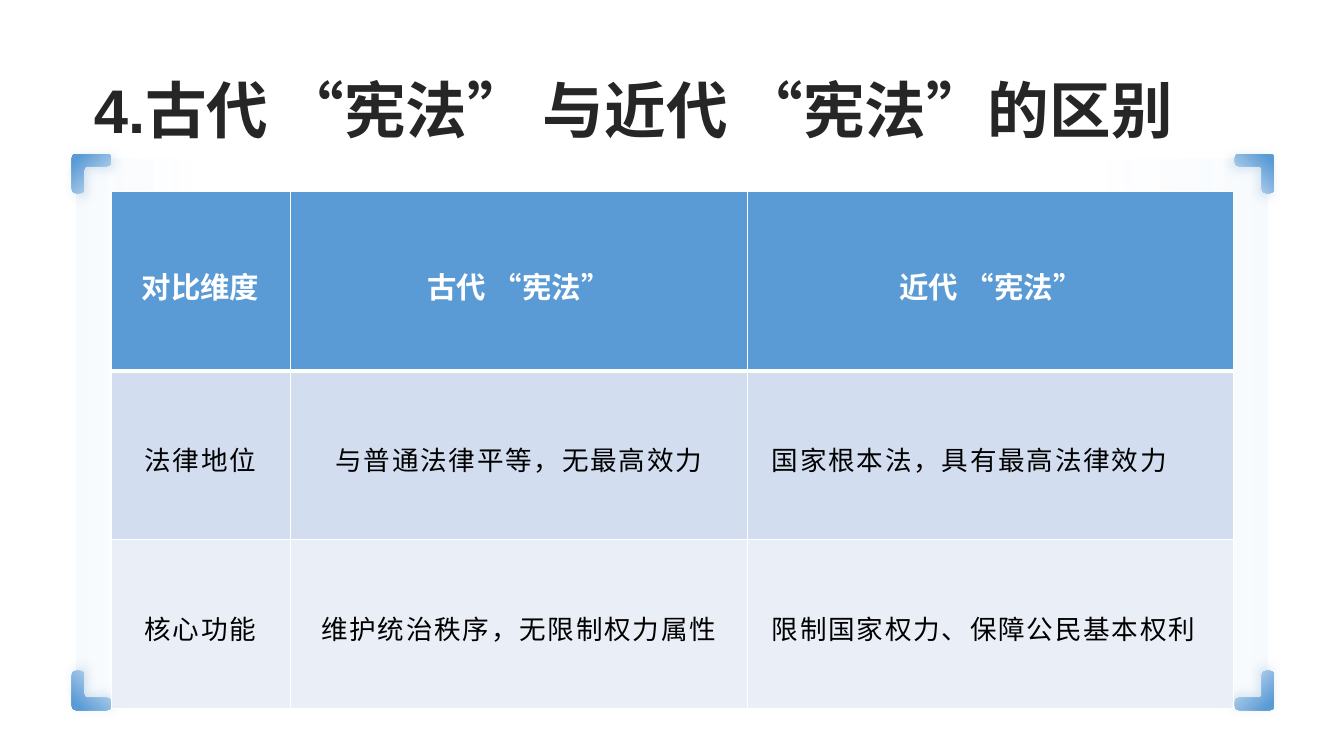
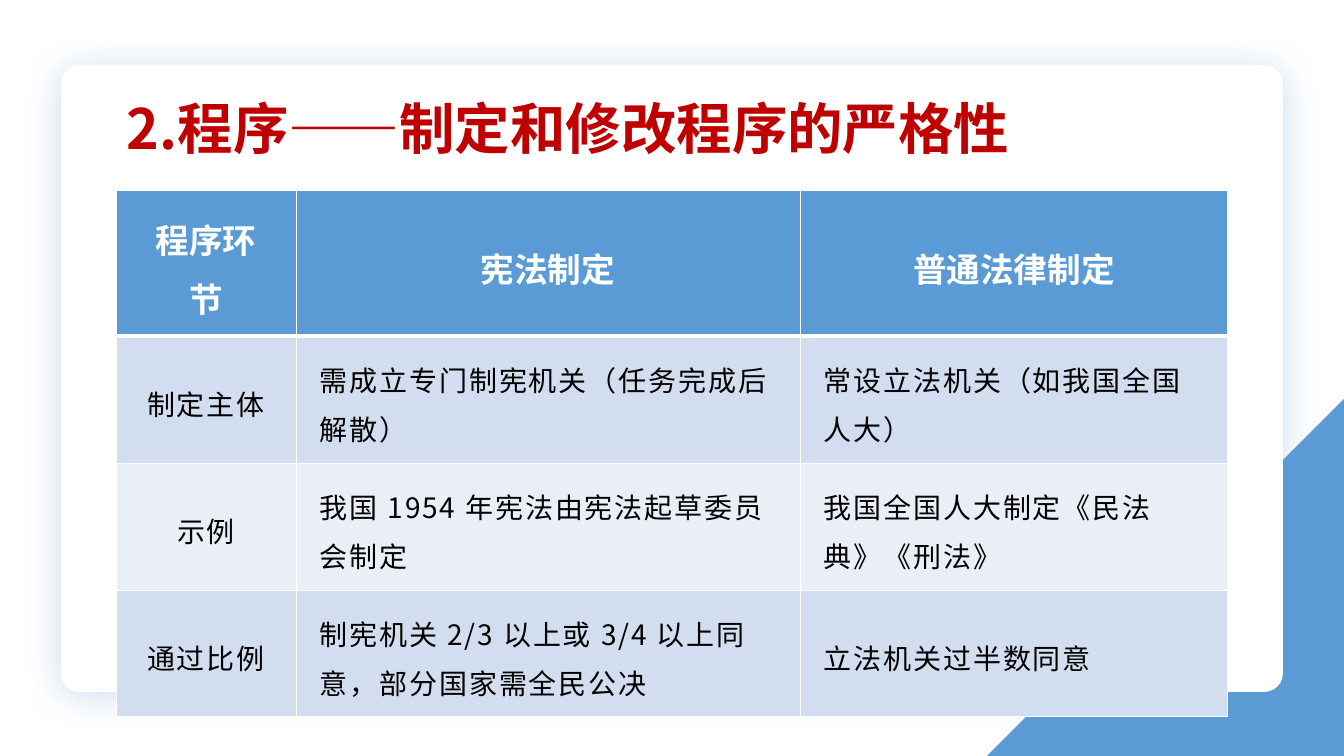
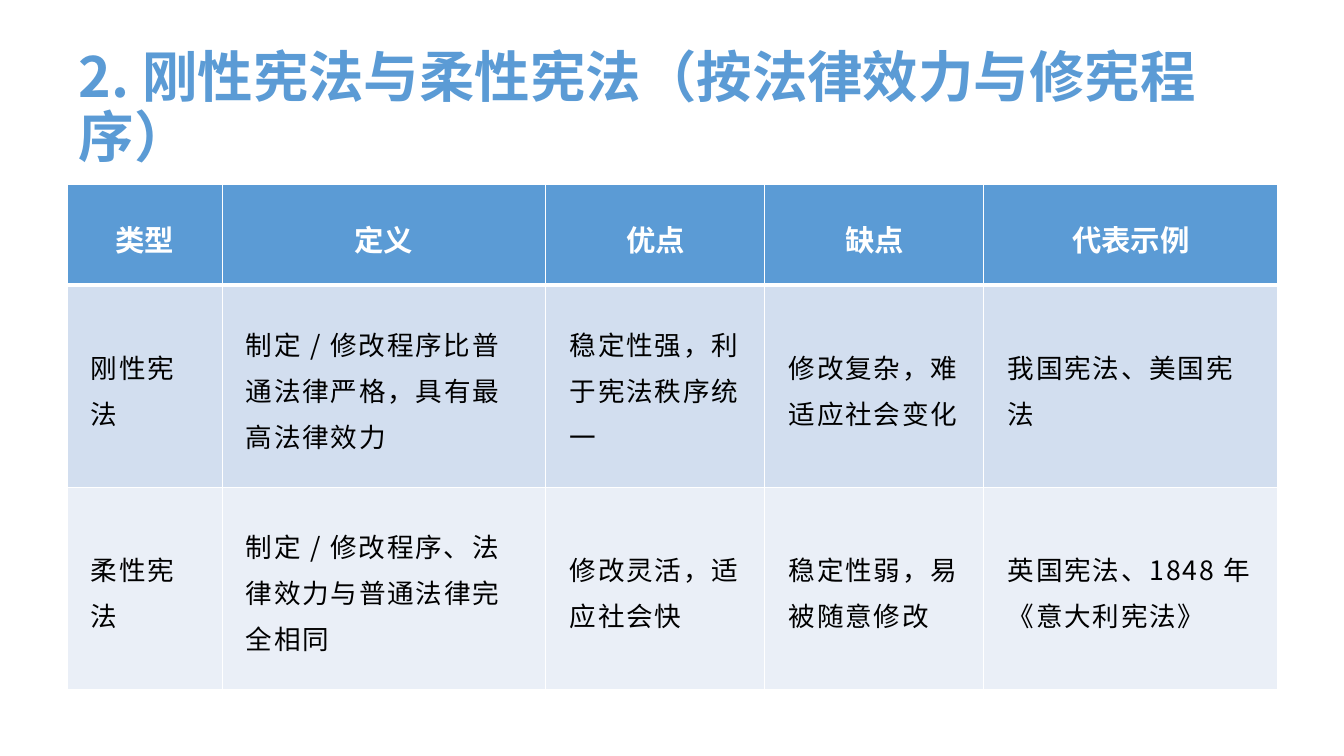
import pptx
import pptx.util
import pptx.dml.color
import pptx.enum.dml
import pptx.enum.lang
import pptx.enum.shapes
import pptx.enum.text
import pptx.oxml
import pptx.oxml.ns

RGB = pptx.dml.color.RGBColor
SHAPE = pptx.enum.shapes.MSO_SHAPE
ALIGN = pptx.enum.text.PP_ALIGN
MIDDLE = pptx.enum.text.MSO_ANCHOR.MIDDLE
CHINESE = pptx.enum.lang.MSO_LANGUAGE_ID.SIMPLIFIED_CHINESE

BLUE = RGB(0x5B, 0x9B, 0xD5)
DEEP_BLUE = RGB(0x2E, 0x75, 0xB6)
MIST = RGB(0xB5, 0xD2, 0xEC)
PALE = RGB(0xD6, 0xE6, 0xF4)
BANDS = (RGB(0xD2, 0xDE, 0xEF), RGB(0xEA, 0xEF, 0xF7))
WHITE = RGB(0xFF, 0xFF, 0xFF)
BLACK = RGB(0, 0, 0)
INK = RGB(0x26, 0x26, 0x26)
RED = RGB(0xC0, 0, 0)

CJK = "Noto Sans CJK SC"
SCALE = 914400 / 100.8
ALIGNS = {"c": ALIGN.CENTER, "l": ALIGN.LEFT}
THIN, THICK = 0.75, 3


def px(n):
    return round(n * SCALE)


def xml(body):
    """Parse one DrawingML element given without its namespace."""
    tag, rest = body[1:].split(" ", 1)
    return pptx.oxml.parse_xml(f'<{tag} {pptx.oxml.ns.nsdecls("a")} {rest}')


# ---- text ----
def write(tf, text, color, align="l", spacing=0.9, track=0, **fmt):
    p = tf.paragraphs[0]
    p.alignment = ALIGNS[align]
    p.line_spacing = spacing
    r = p.add_run()
    r.text = text
    fmt = {"name": CJK, "bold": False, "language_id": CHINESE, **fmt}
    for key, value in fmt.items():
        setattr(r.font, key, value)
    r.font.color.rgb = color
    rPr = r._r.get_or_add_rPr()
    if track:
        rPr.set("spc", str(track))
    rPr.append(xml(f'<a:ea typeface="{CJK}"/>'))


def add_title(s, box, text, color, **fmt):
    tf = s.shapes.add_textbox(*map(px, box)).text_frame
    tf.word_wrap = True
    tf.vertical_anchor = MIDDLE
    write(tf, text, color, bold=True, **fmt)


# ---- shapes ----
def style(sp, color):
    sp.shadow.inherit = False
    sp.fill.solid()
    sp.fill.fore_color.rgb = color
    sp.line.fill.background()
    return sp


def add_gradient(sp, stops, angle):
    """Stops are (position %, colour, opacity %)."""
    gs = "".join(
        f'<a:gs pos="{pos * 1000}"><a:srgbClr val="{color}">'
        f'<a:alpha val="{alpha * 1000}"/></a:srgbClr></a:gs>'
        for pos, color, alpha in stops)
    spPr = sp._element.spPr
    grad = xml(f'<a:gradFill rotWithShape="1"><a:gsLst>{gs}</a:gsLst>'
               f'<a:lin ang="{angle * 60000}" scaled="0"/></a:gradFill>')
    spPr.replace(spPr.find(pptx.oxml.ns.qn("a:solidFill")), grad)


def add_shadow(sp, color, alpha, blur, dist, angle):
    effects = sp._element.spPr.find(pptx.oxml.ns.qn("a:effectLst"))
    effects.append(xml(
        f'<a:outerShdw blurRad="{blur * 12700}" dist="{dist * 12700}" '
        f'dir="{angle * 60000}" algn="ctr" rotWithShape="0">'
        f'<a:srgbClr val="{color}"><a:alpha val="{alpha * 1000}"/></a:srgbClr>'
        '</a:outerShdw>'))


def rounded(points, radius, steps=5):
    """Round every vertex of a polygon with axis-parallel edges."""
    out = []
    for i, (x, y) in enumerate(points):
        ends = []
        for nx, ny in (points[i - 1], points[(i + 1) % len(points)]):
            length = abs(nx - x) + abs(ny - y)
            ends.append((x + (nx - x) * radius / length,
                         y + (ny - y) * radius / length))
        (ax, ay), (bx, by) = ends
        for k in range(steps + 1):
            t = k / steps
            u = 1 - t
            out.append((u * u * ax + 2 * u * t * x + t * t * bx,
                        u * u * ay + 2 * u * t * y + t * t * by))
    return out


def add_bracket(s, x, y, dx, dy, gradient_angle):
    """L-shaped bracket with its outer corner at x, y, growing along dx, dy."""
    size, arm = 39, 12
    ell = [(0, 0), (size, 0), (size, arm), (arm, arm), (arm, size), (0, size)]
    pts = [(px(x + dx * a), px(y + dy * b)) for a, b in rounded(ell, 4)]
    fb = s.shapes.build_freeform(*pts[0])
    fb.add_line_segments(pts[1:], close=True)
    sp = style(fb.convert_to_shape(), BLUE)
    add_gradient(sp, [(0, PALE, 100), (88, BLUE, 100)], gradient_angle)
    add_shadow(sp, DEEP_BLUE, 20, 8, 3, (gradient_angle + 180) % 360)


def add_frame(s, box):
    """Faint panel with a bracket at each corner."""
    x, y, w, h = box
    panel = (x + 5, y + 5, w - 11, h - 13)
    sp = style(s.shapes.add_shape(SHAPE.RECTANGLE, *map(px, panel)), BLUE)
    add_gradient(sp, [(0, BLUE, 5), (10, MIST, 0), (86, MIST, 0), (100, BLUE, 5)], 0)
    for cx, cy, dx, dy, angle in ((x, y, 1, 1, 225), (x + w, y, -1, 1, 315),
                                  (x, y + h, 1, -1, 135), (x + w, y + h, -1, -1, 45)):
        add_bracket(s, cx, cy, dx, dy, angle)


def add_card(s, box):
    """White rounded card over a blue corner of the slide."""
    side = 357
    corner = (1344 - side, 756 - side, side, side)
    sp = style(s.shapes.add_shape(SHAPE.RIGHT_TRIANGLE, *map(px, corner)), BLUE)
    sp.rotation = 270
    sp = style(s.shapes.add_shape(SHAPE.ROUNDED_RECTANGLE, *map(px, box)), WHITE)
    sp.adjustments[0] = 0.03
    add_shadow(sp, BLUE, 32, 27, 3, 90)


# ---- table ----
def set_borders(cell, top, bottom):
    tcPr = cell._tc.get_or_add_tcPr()
    for i, (side, width) in enumerate(zip("LRTB", (THIN, THIN, top, bottom))):
        tcPr.insert(i, xml(
            f'<a:ln{side} w="{round(width * 12700)}"><a:solidFill>'
            f'<a:srgbClr val="{WHITE}"/></a:solidFill></a:ln{side}>'))


def add_table(s, x, y, cols, heights, rows, aligns, head_size, body_size):
    box = (x, y, sum(cols), sum(heights))
    table = s.shapes.add_table(len(rows), len(cols), *map(px, box)).table
    for column, w in zip(table.columns, cols):
        column.width = px(w)
    for row, h in zip(table.rows, heights):
        row.height = px(h)
    head = {"color": WHITE, "size": pptx.util.Pt(head_size), "bold": True}
    body = {"color": BLACK, "size": pptx.util.Pt(body_size), "track": 130}
    margins = {"margin_left": 24, "margin_right": 24, "margin_top": 15, "margin_bottom": 15}
    for i, texts in enumerate(rows):
        for j, text in enumerate(texts):
            cell = table.cell(i, j)
            for key, value in margins.items():
                setattr(cell, key, px(value))
            cell.vertical_anchor = MIDDLE
            cell.fill.solid()
            cell.fill.fore_color.rgb = BANDS[(i - 1) % 2] if i else BLUE
            set_borders(cell, THICK if i == 1 else THIN, THIN if i else THICK)
            write(cell.text_frame, text, align=aligns[j] if i else "c",
                  spacing=1.2, **(body if i else head))


# ---- slides ----
def ancient_and_modern(s):
    add_frame(s, (72, 154, 1202, 556))
    add_title(s, (84, 41, 1167, 146), "4.古代 “宪法” 与近代 “宪法”的区别", INK,
              name="Arial", size=pptx.util.Pt(44))
    add_table(s, 111, 191, (179, 458, 486), (180, 169, 169), (
        ("对比维度", "古代 “宪法”", "近代 “宪法”"),
        ("法律地位", "与普通法律平等，无最高效力", "国家根本法，具有最高法律效力"),
        ("核心功能", "维护统治秩序，无限制权力属性", "限制国家权力、保障公民基本权利"),
    ), "ccl", 21, 19)


def strict_procedure(s):
    add_card(s, (61, 65, 1222, 627))
    add_title(s, (117, 89, 1111, 84), "2.程序——制定和修改程序的严格性", RED,
              size=pptx.util.Pt(39.6))
    add_table(s, 116, 190, (180, 504, 428), (146, 127, 127, 126), (
        ("程序环节", "宪法制定", "普通法律制定"),
        ("制定主体", "需成立专门制宪机关（任务完成后解散）", "常设立法机关（如我国全国人大）"),
        ("示例", "我国 1954 年宪法由宪法起草委员会制定", "我国全国人大制定《民法典》《刑法》"),
        ("通过比例", "制宪机关 2/3 以上或 3/4 以上同意，部分国家需全民公决", "立法机关过半数同意"),
    ), "cll", 24, 20)


def rigid_and_flexible(s):
    add_title(s, (69, 35, 1209, 149), "2. 刚性宪法与柔性宪法（按法律效力与修宪程序）", BLUE,
              size=pptx.util.Pt(39.6))
    add_table(s, 67, 184, (155, 324, 219, 219, 294), (101, 202, 202), (
        ("类型", "定义", "优点", "缺点", "代表示例"),
        ("刚性宪法", "制定 / 修改程序比普通法律严格，具有最高法律效力",
         "稳定性强，利于宪法秩序统一", "修改复杂，难适应社会变化", "我国宪法、美国宪法"),
        ("柔性宪法", "制定 / 修改程序、法律效力与普通法律完全相同",
         "修改灵活，适应社会快", "稳定性弱，易被随意修改", "英国宪法、1848 年《意大利宪法》"),
    ), "lllll", 21, 19)


def main():
    prs = pptx.Presentation()
    prs.slide_width, prs.slide_height = px(1344), px(756)
    for build in (ancient_and_modern, strict_procedure, rigid_and_flexible):
        build(prs.slides.add_slide(prs.slide_layouts[6]))
    prs.save("out.pptx")


if __name__ == "__main__":
    main()
